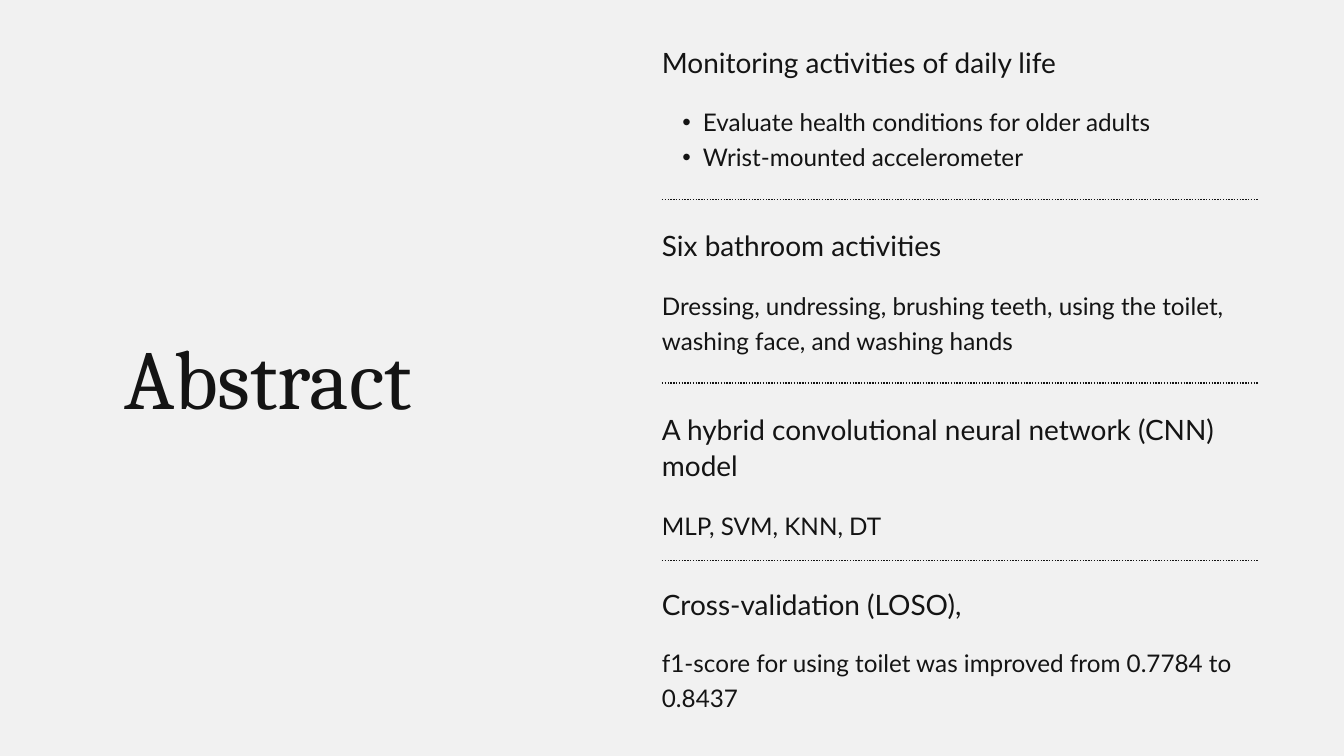
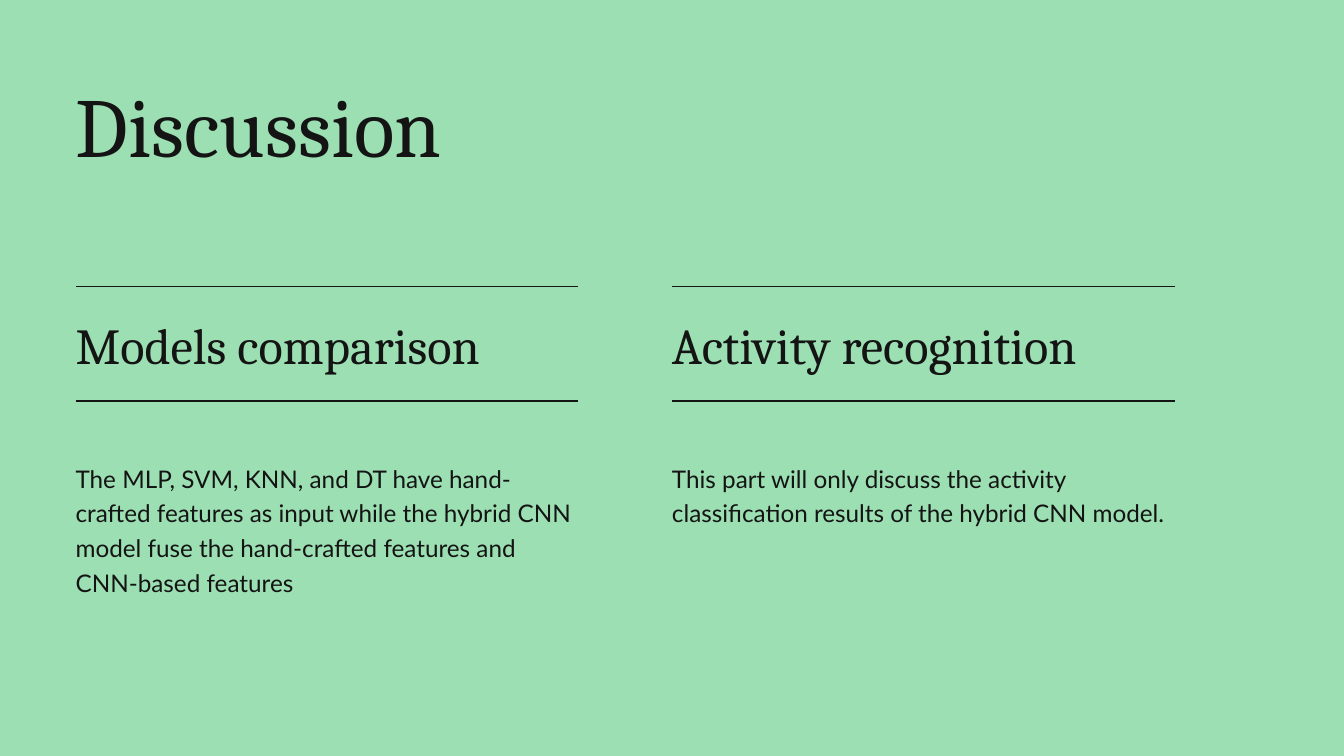
import pptx
import pptx.dml.color
import pptx.enum.dml
import pptx.enum.shapes
import pptx.enum.text
import pptx.oxml
import pptx.oxml.ns
import pptx.util
from dataclasses import dataclass

Pt = pptx.util.Pt

# Shared colours and text formats
INK = "141414"
GREY = "F1F1F1"
GREEN = "9BDFB2"


@dataclass(frozen=True)
class Style:
    font: str
    size: float
    leading: float


TITLE = Style("Cambria", 90, 108)
SUBTITLE = Style("Cambria", 54, 70.2)
LEAD = Style("Lato", 30, 39)
BODY = Style("Lato", 26, 37.2)

FRAME = {
    "word_wrap": True,
    "auto_size": pptx.enum.text.MSO_AUTO_SIZE.SHAPE_TO_FIT_TEXT,
    "margin_left": 0, "margin_top": 0, "margin_right": 0, "margin_bottom": 0,
}


@dataclass(frozen=True)
class Section:
    """One heading with its details on the Abstract slide."""
    top: float
    heading: str
    body_top: float
    details: tuple[str, ...]
    bulleted: bool = False
    heading_lines: int = 1
    body_lines: int = 2
    width: float = 632


@dataclass(frozen=True)
class Topic:
    """One column on the Discussion slide."""
    heading: str
    details: str
    body_lines: int


SECTIONS = (
    Section(45.4, "Monitoring activities of daily life", 109.4,
            ("Evaluate health conditions for older adults",
             "Wrist-mounted accelerometer"), bulleted=True),
    Section(242, "Six bathroom activities", 306,
            ("Dressing, undressing, brushing teeth, using the toilet, "
             "washing face, and washing hands",), width=639),
    Section(438.5, "A hybrid convolutional neural network (CNN) model", 542.2,
            ("MLP, SVM, KNN, DT",), heading_lines=2, body_lines=1),
    Section(627, "Cross-validation (LOSO),", 689,
            ("f1-score for using toilet was improved from 0.7784 to 0.8437",)),
)
DIVIDERS = (213.8, 410.4, 600.5)

TOPICS = (
    Topic("Models comparison",
          "The MLP, SVM, KNN, and DT have hand-crafted features as input "
          "while the hybrid CNN model fuse the hand-crafted features and "
          "CNN-based features", 4),
    Topic("Activity recognition",
          "This part will only discuss the activity classification results "
          "of the hybrid CNN model.", 3),
)


def rgb(value: str) -> pptx.dml.color.RGBColor:
    return pptx.dml.color.RGBColor.from_string(value)


def apply(obj, values: dict) -> None:
    for name, value in values.items():
        setattr(obj, name, value)


def add_slide(prs, background: str):
    s = prs.slides.add_slide(prs.slide_layouts[6])
    fill = s.background.fill
    fill.solid()
    fill.fore_color.rgb = rgb(background)
    return s


def add_bullet(p) -> None:
    p.level = 1
    pPr = p._p.get_or_add_pPr()
    pPr.set("marL", str(Pt(44)))
    pPr.set("indent", str(-Pt(22)))
    for tag, key, value in (("buFont", "typeface", "Arial"),
                            ("buChar", "char", "•")):
        pptx.oxml.ns.qn("a:" + tag)
        bullet = pptx.oxml.parse_xml(
            f'<a:{tag} {pptx.oxml.ns.nsdecls("a")} {key}="{value}"/>')
        pPr.append(bullet)


def add_text(s, paragraphs: tuple[str, ...], style: Style, left: float,
             top: float, width: float, lines: int = 1,
             bulleted: bool = False) -> None:
    sp = s.shapes.add_textbox(Pt(left), Pt(top), Pt(width),
                              Pt(lines * style.leading))
    tf = sp.text_frame
    apply(tf, FRAME)
    for i, text in enumerate(paragraphs):
        p = tf.add_paragraph() if i else tf.paragraphs[0]
        p.line_spacing = Pt(style.leading)
        if bulleted:
            add_bullet(p)
        r = p.add_run()
        r.text = text
        apply(r.font, {"name": style.font, "size": Pt(style.size)})
        r.font.color.rgb = rgb(INK)


def add_rule(s, left: float, top: float, width: float,
             dotted: bool = False) -> None:
    sp = s.shapes.add_connector(pptx.enum.shapes.MSO_CONNECTOR.STRAIGHT,
                                Pt(left), Pt(top), Pt(left + width), Pt(top))
    sp.line.color.rgb = rgb(INK)
    sp.line.width = Pt(1.5)
    if dotted:
        # ROUND_DOT is stored as the preset dash "sysDot"
        sp.line.dash_style = pptx.enum.dml.MSO_LINE.ROUND_DOT
    sp._element.spPr.append(pptx.oxml.parse_xml(
        f'<a:effectLst {pptx.oxml.ns.nsdecls("a")}/>'))


def build_abstract(prs) -> None:
    s = add_slide(prs, GREY)
    add_text(s, ("Abstract",), TITLE, 133.2, 349.2, 504.7)
    left = 709.2
    for sec in SECTIONS:
        add_text(s, (sec.heading,), LEAD, left, sec.top, sec.width,
                 sec.heading_lines)
        add_text(s, sec.details, BODY, left, sec.body_top, sec.width,
                 sec.body_lines, sec.bulleted)
    for top in DIVIDERS:
        add_rule(s, left, top, 638.6, dotted=True)


def build_discussion(prs) -> None:
    s = add_slide(prs, GREEN)
    margin, pitch, width = 81, 639, 538.7
    add_text(s, ("Discussion",), TITLE, margin, 79.2, 1278)
    for i, topic in enumerate(TOPICS):
        left = margin + i * pitch
        for top in (306.7, 429.8):
            add_rule(s, left, top, width)
        add_text(s, (topic.heading,), SUBTITLE, left, 331.2, 492.5)
        add_text(s, (topic.details,), BODY, left, 491, width,
                 topic.body_lines)


def main() -> None:
    prs = pptx.Presentation()
    apply(prs, {"slide_width": Pt(1440), "slide_height": Pt(810)})
    build_abstract(prs)
    build_discussion(prs)
    prs.save("out.pptx")


if __name__ == "__main__":
    main()
